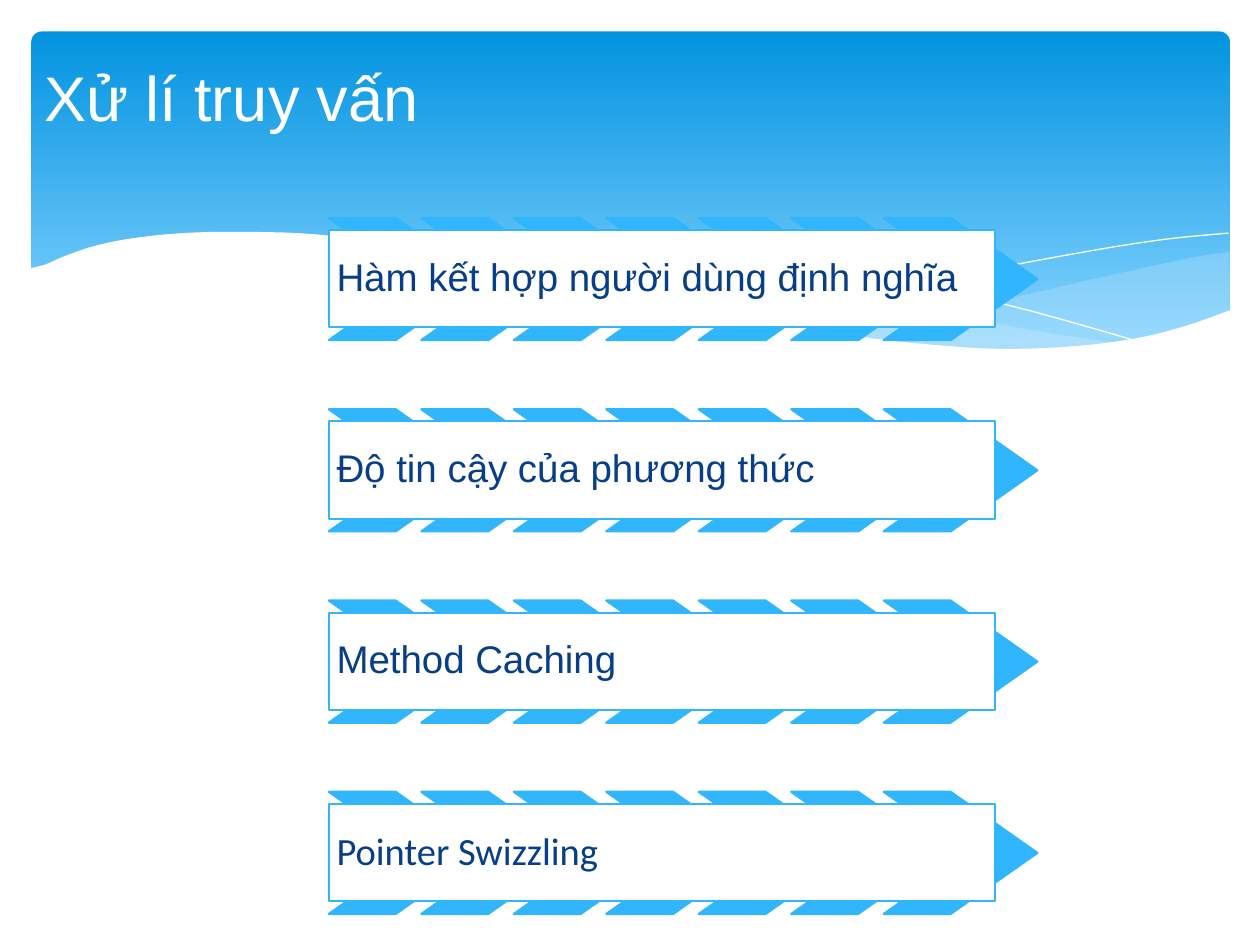
from lxml import etree
from pptx import Presentation, util as u
from pptx.dml.color import RGBColor
from pptx.enum import shapes, text
from pptx.oxml import ns

SKY, NAVY, WHITE, MIST = "31B6FD", "073E87", "FFFFFF", "C6E7FC"
TOPICS = [
    ("Hàm kết hợp người dùng định nghĩa", "Arial"),
    ("Độ tin cậy của phương thức", "Arial"),
    ("Method Caching", "Arial"),
    ("Pointer Swizzling", "Calibri"),
]
ROW_TOP, ROW_STEP = 124.6, 109.3
CHEVRON_COUNT, CHEVRON_STEP, ROW_LEFT = 7, 52.85, 187.9

RIGHT_TOP = [(702.7, 144), (682.6, 146.9), (652.3, 153.4), (619.9, 160.6),
             (560.9, 174.2), (508.3, 185), (475.9, 190.8)]
RIGHT_BOTTOM = [(475.9, 190.8), (507.6, 195.1), (536.4, 197.8), (562.3, 199.4),
                (586, 199.9), (607.7, 199.4), (627.8, 197.9), (645.8, 195.1),
                (663.1, 191.5), (678.2, 186.5), (702.7, 177.8)]
MIDDLE_TOP = [(643, 196.6), (602.6, 190.8), (558, 182.9), (508.3, 172.8),
              (452.9, 159.8), (409.7, 149.8), (370.1, 142.6), (334.8, 137.5),
              (302.4, 134.6), (273.6, 133.2), (247.7, 133.9), (225.4, 135.6),
              (205.9, 137.5)]
MIDDLE_BOTTOM = [(205.9, 137.5), (246.2, 143.3), (290.9, 151.2), (323.3, 159.8),
                 (381.6, 172.8), (432.7, 183.6), (478.8, 191.5), (519.8, 197.3),
                 (556.6, 199.4), (589, 200.2), (617, 199.4), (643, 196.6)]
LONG_LINE = [(222.5, 140.4), (236.2, 138.2), (261.4, 136.1), (299.5, 134.6),
             (337.7, 136.1), (383.8, 139.7), (437.8, 146.9), (500.4, 159.8),
             (572.4, 173.5), (653, 195.8)]
SHORT_LINE = [(441.4, 185), (470.2, 177.1), (500.4, 169.2), (558.7, 155.5),
              (623.5, 143.3), (665.3, 136.8), (702, 133.2)]
WHITE_EDGE = [(703.4, 177.1), (676.8, 186.5), (647.3, 193.7), (612, 198),
              (572.4, 199.4), (535.7, 197.3), (495.4, 193), (450.7, 185.8),
              (399.6, 176.4), (342, 163.4), (281.5, 149), (227.5, 139.7),
              (180, 133.9), (139, 132.5), (105.1, 133.2), (76.3, 136.1),
              (54.7, 140.4), (37.4, 146.2), (25.9, 151.2), (16.6, 153.4)]
WHITE_BASE = [(16.6, 236.9), (703.4, 236.9)]


def rgb(value):
    """Turn a hex string into a colour."""
    return RGBColor.from_string(value)


def set_all(obj, values):
    """Set each attribute of obj from a dict."""
    for name, value in values.items():
        setattr(obj, name, value)


def paint(sp, fill=None, line=None, width=1.25, alpha=None):
    """Give a shape its fill, outline and opacity in percent."""
    sp.shadow.inherit = False
    if fill:
        sp.fill.solid()
        sp.fill.fore_color.rgb = rgb(fill)
    else:
        sp.fill.background()
    if line:
        sp.line.color.rgb = rgb(line)
        sp.line.width = u.Pt(width)
    else:
        sp.line.fill.background()
    if alpha:
        clr = sp.element.find(".//" + ns.qn("a:srgbClr"))
        etree.SubElement(clr, ns.qn("a:alpha"), val=str(alpha * 1000))


def add_preset(s, kind, x, y, w, h):
    """Add a preset shape measured in points."""
    return s.shapes.add_shape(kind, u.Pt(x), u.Pt(y), u.Pt(w), u.Pt(h))


def smooth(points, steps=5):
    """Run a Catmull-Rom curve through the points."""
    ends = [points[0], *points, points[-1]]
    curve = [points[0]]
    for a, b, c, d in zip(ends, ends[1:], ends[2:], ends[3:]):
        for t in (i / steps for i in range(1, steps + 1)):
            curve.append(tuple(
                (2 * q + (r - p) * t + (2 * p - 5 * q + 4 * r - v) * t ** 2
                 + (3 * q - p - 3 * r + v) * t ** 3) / 2
                for p, q, r, v in zip(a, b, c, d)))
    return curve


def add_wave(s, points, close=True, **style):
    """Add a wave outline through points."""
    emu = [(u.Pt(x), u.Pt(y)) for x, y in points]
    builder = s.shapes.build_freeform(*emu[0])
    builder.add_line_segments(emu[1:], close=close)
    paint(builder.convert_to_shape(), **style)


def add_banner(s):
    """Add the gradient banner and its waves."""
    sp = add_preset(s, shapes.MSO_SHAPE.ROUNDED_RECTANGLE, 18, 18, 684.7, 194.4)
    sp.adjustments[0] = 0.03
    paint(sp)
    sp.fill.gradient()
    sp.fill.gradient_angle = 270
    for stop, (pos, color) in zip(sp.fill.gradient_stops, [(0, "0293E0"), (0.9, "83D3FE")]):
        stop.position = pos
        stop.color.rgb = rgb(color)
    add_wave(s, smooth(RIGHT_TOP) + smooth(RIGHT_BOTTOM), fill=MIST, alpha=29)
    add_wave(s, smooth(MIDDLE_TOP) + smooth(MIDDLE_BOTTOM), fill=MIST, alpha=40)
    for points in (LONG_LINE, SHORT_LINE):
        add_wave(s, smooth(points), close=False, line=WHITE, width=0)
    add_wave(s, smooth(WHITE_EDGE) + WHITE_BASE, fill=WHITE)


def write(tf, words, font, size, color, **para):
    """Write one left-aligned paragraph."""
    set_all(tf, {"word_wrap": True, "vertical_anchor": text.MSO_ANCHOR.MIDDLE})
    p = tf.paragraphs[0]
    set_all(p, {"alignment": text.PP_ALIGN.LEFT, **para})
    r = p.add_run()
    r.text = words
    set_all(r.font, {"name": font, "size": u.Pt(size)})
    r.font.color.rgb = rgb(color)


def add_topic(s, top, words, font):
    """Add a row of chevrons with a label box over it."""
    for i in range(CHEVRON_COUNT):
        sp = add_preset(s, shapes.MSO_SHAPE.CHEVRON,
                        ROW_LEFT + i * CHEVRON_STEP, top, 87.8, 69.8)
        sp.adjustments[0] = 0.71
        paint(sp, SKY, SKY)
    sp = add_preset(s, shapes.MSO_SHAPE.RECTANGLE, ROW_LEFT, top + 6.9, 380.9, 55.6)
    paint(sp, WHITE, SKY)
    sides = ("left", "top", "right", "bottom")
    set_all(sp.text_frame, {f"margin_{side}": u.Pt(4.4) for side in sides})
    write(sp.text_frame, words, font, 22, NAVY, line_spacing=0.9)


def add_title(s, words):
    """Fill the title placeholder and bring it to the front."""
    sp = s.shapes.title
    set_all(sp, {"left": u.Pt(18), "top": u.Pt(23.8),
                 "width": u.Pt(612), "height": u.Pt(62.6)})
    write(sp.text_frame, words, "Arial", 36, WHITE)
    sp.element.getparent().append(sp.element)


def main():
    """Build and save the slide."""
    prs = Presentation()
    set_all(prs, {"slide_width": u.Pt(720), "slide_height": u.Pt(540)})
    s = prs.slides.add_slide(prs.slide_layouts[5])
    add_banner(s)
    for i, (words, font) in enumerate(TOPICS):
        add_topic(s, ROW_TOP + i * ROW_STEP, words, font)
    add_title(s, "Xử lí truy vấn")
    prs.save("out.pptx")


if __name__ == "__main__":
    main()
